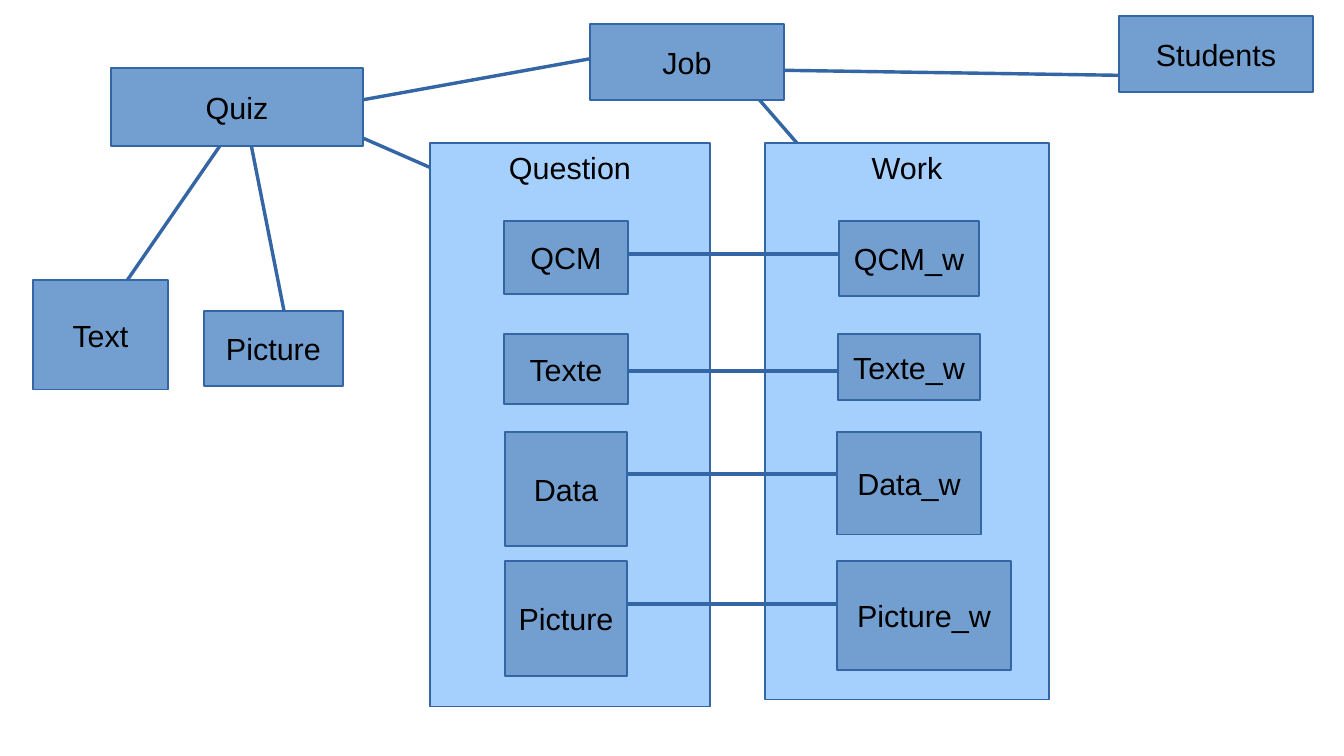
from dataclasses import dataclass

from lxml.etree import SubElement
from pptx import Presentation
from pptx.dml.color import RGBColor
from pptx.enum.shapes import MSO_CONNECTOR as Wire, MSO_SHAPE as Form
from pptx.enum.text import MSO_ANCHOR as Anchor, PP_ALIGN as Align
from pptx.oxml.ns import qn
from pptx.slide import Slide
from pptx.util import Emu, Pt

PX = 7495  # EMU in one px, 122 px to the inch
BLUE = RGBColor(0x72, 0x9F, 0xCF)
PALE = RGBColor(0xA5, 0xD0, 0xFE)
EDGE = RGBColor(0x34, 0x65, 0xA4)
BLACK = RGBColor(0, 0, 0)


@dataclass
class Box:
    name: str
    left: int
    top: int
    width: int
    height: int
    fill: RGBColor = BLUE
    anchor: Anchor = Anchor.MIDDLE


@dataclass
class Link:
    x1: int
    y1: int
    x2: int
    y2: int


TREE = [
    Link(301, 111, 600, 57),   # Quiz to Job
    Link(762, 70, 1165, 76),   # Job to Students
    Link(816, 165, 737, 74),   # Work to Job
    Link(224, 140, 115, 298),  # Quiz to Text
    Link(248, 129, 287, 326),  # Quiz to Picture
    Link(301, 111, 477, 188),  # Quiz to Question
]
PANELS = [
    Box("Question", 430, 143, 280, 564, PALE, Anchor.TOP),
    Box("Work", 765, 143, 284, 557, PALE, Anchor.TOP),
]
PAIRS = [
    Link(622, 254, 884, 254),
    Link(618, 371, 880, 371),
    Link(617, 474, 879, 474),
    Link(617, 604, 879, 604),
]
BOXES = [
    Box("Students", 1119, 16, 194, 76),
    Box("Quiz", 111, 68, 252, 78),
    Box("Text", 33, 280, 135, 110),
    Box("Picture", 204, 311, 139, 75),
    Box("QCM", 504, 221, 124, 73),
    Box("Texte", 504, 334, 124, 70),
    Box("Data", 505, 432, 122, 114),
    Box("Picture", 505, 561, 122, 115),
    Box("QCM_w", 839, 221, 140, 75),
    Box("Texte_w", 838, 334, 142, 66),
    Box("Data_w", 837, 432, 144, 103),
    Box("Picture_w", 837, 561, 174, 109),
    Box("Job", 590, 24, 194, 76),
]


def px(n: int) -> Emu:
    return Emu(n * PX)


def draw_link(slide: Slide, link: Link) -> None:
    wire = slide.shapes.add_connector(
        Wire.STRAIGHT, px(link.x1), px(link.y1), px(link.x2), px(link.y2))
    wire.line.color.rgb = EDGE
    wire.line.width = Pt(0)
    SubElement(wire.element.spPr, qn("a:effectLst"))


def draw_box(slide: Slide, box: Box) -> None:
    shape = slide.shapes.add_shape(
        Form.RECTANGLE, px(box.left), px(box.top), px(box.width), px(box.height))
    shape.shadow.inherit = False
    shape.fill.solid()
    shape.fill.fore_color.rgb = box.fill
    shape.line.color.rgb = EDGE
    shape.line.width = Pt(0)
    frame = shape.text_frame
    frame.vertical_anchor = box.anchor
    para = frame.paragraphs[0]
    para.alignment = Align.CENTER
    run = para.add_run()
    run.text = box.name
    run.font.name = "Arial"
    run.font.size = Pt(18)
    run.font.color.rgb = BLACK


def main() -> None:
    deck = Presentation()
    deck.slide_width, deck.slide_height = px(1344), px(756)
    slide = deck.slides.add_slide(deck.slide_layouts[6])
    for link in TREE:
        draw_link(slide, link)
    for panel in PANELS:
        draw_box(slide, panel)
    for link in PAIRS:
        draw_link(slide, link)
    for box in BOXES:
        draw_box(slide, box)
    deck.save("out.pptx")


if __name__ == "__main__":
    main()
